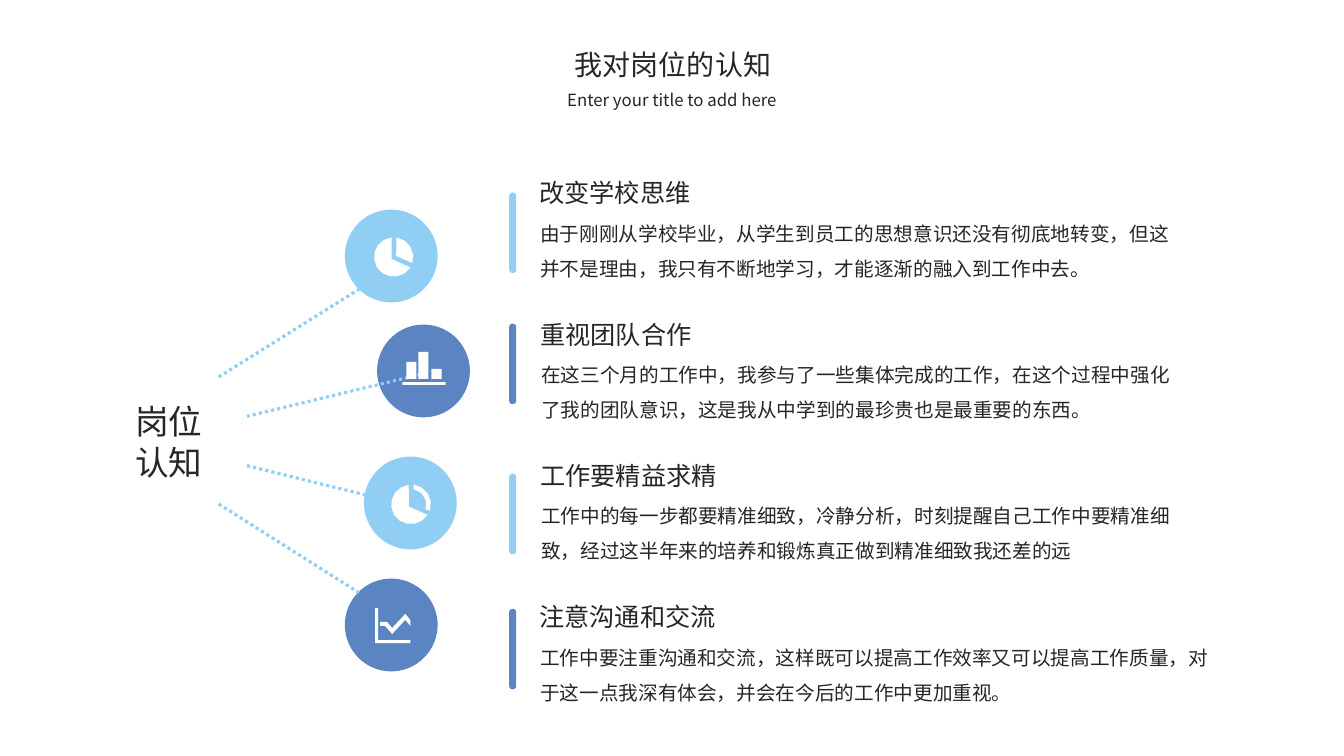
from dataclasses import dataclass
from math import cos, radians, sin

from lxml.etree import SubElement
from pptx import Presentation
from pptx.dml.color import RGBColor
from pptx.enum.dml import MSO_LINE
from pptx.enum.shapes import MSO_CONNECTOR, MSO_SHAPE
from pptx.enum.text import MSO_AUTO_SIZE, PP_ALIGN
from pptx.oxml.ns import qn
from pptx.util import Emu, Pt

FONT = "Noto Sans CJK SC"
INK, WHITE, SKY, BLUE = "262626", "FFFFFF", "91CEF4", "5B84C2"
PX = 9144  # 100 px to the inch

Point = tuple[float, float]
Box = tuple[int, int, int, int]


@dataclass
class Topic:
    title: str
    body: str
    color: str
    bar_top: int
    circle: tuple[int, int]
    text_at: tuple[int, int]
    body_width: int = 660
    body_drop: int = 32


@dataclass
class Ray:
    start: tuple[int, int]
    end: tuple[int, int]


TOPICS = [
    Topic("改变学校思维",
          "由于刚刚从学校毕业，从学生到员工的思想意识还没有彻底地转变，但这"
          "并不是理由，我只有不断地学习，才能逐渐的融入到工作中去。",
          SKY, 191, (342, 208), (525, 171), body_drop=33),
    Topic("重视团队合作",
          "在这三个月的工作中，我参与了一些集体完成的工作，在这个过程中强化"
          "了我的团队意识，这是我从中学到的最珍贵也是最重要的东西。",
          BLUE, 321, (374, 322), (526, 312)),
    Topic("工作要精益求精",
          "工作中的每一步都要精准细致，冷静分析，时刻提醒自己工作中要精准细"
          "致，经过这半年来的培养和锻炼真正做到精准细致我还差的远",
          SKY, 470, (361, 453), (526, 452)),
    Topic("注意沟通和交流",
          "工作中要注重沟通和交流，这样既可以提高工作效率又可以提高工作质量，对"
          "于这一点我深有体会，并会在今后的工作中更加重视。",
          BLUE, 604, (342, 574), (525, 592), body_width=683),
]
RAYS = [
    Ray((217, 374), (356, 287)),
    Ray((245, 462), (423, 506)),
    Ray((217, 500), (356, 588)),
    Ray((423, 370), (245, 413)),
]
CHART_BARS: list[Box] = [
    (399, 379, 43, 3), (415, 349, 10, 27), (403, 359, 10, 17), (428, 366, 10, 10),
]
AXES: list[Point] = [(375, 635), (375, 603), (372, 603), (372, 638), (407, 638), (407, 635)]
TREND: list[Point] = [
    (389, 629), (402, 615), (407, 621), (407, 615), (402, 609),
    (389, 623), (384, 617), (377, 617), (377, 621), (382, 621),
]

presentation = Presentation()
presentation.slide_width, presentation.slide_height = Emu(1333 * PX), Emu(750 * PX)
slide = presentation.slides.add_slide(presentation.slide_layouts[6])
shapes = slide.shapes


def rgb(color: str) -> RGBColor:
    return RGBColor.from_string(color)


def paint(shape, color: str) -> None:
    shape.shadow.inherit = False
    shape.fill.solid()
    shape.fill.fore_color.rgb = rgb(color)
    shape.line.fill.background()


def add_preset(kind: MSO_SHAPE, box: Box, color: str):
    shape = shapes.add_shape(kind, *(Emu(length * PX) for length in box))
    paint(shape, color)
    return shape


def add_outline(points: list[Point], color: str) -> None:
    vertices = [(x * PX, y * PX) for x, y in points]
    builder = shapes.build_freeform(*vertices[0])
    builder.add_line_segments(vertices[1:], close=True)
    paint(builder.convert_to_shape(), color)


def add_text(box: Box, lines: list[str], size: int, align: PP_ALIGN = PP_ALIGN.LEFT,
             spacing: int | None = None) -> None:
    frame = shapes.add_textbox(*(Emu(length * PX) for length in box)).text_frame
    frame.word_wrap = True
    frame.auto_size = MSO_AUTO_SIZE.SHAPE_TO_FIT_TEXT
    for index, line in enumerate(lines):
        paragraph = frame.add_paragraph() if index else frame.paragraphs[0]
        paragraph.alignment = align
        if spacing:
            paragraph.line_spacing = Pt(spacing)
        run = paragraph.add_run()
        run.text = line
        run.font.size = Pt(size)
        run.font.color.rgb = rgb(INK)
        run.font.name = FONT
        SubElement(run.font._element, qn("a:ea"), typeface=FONT)


def add_ray(ray: Ray) -> None:
    connector = shapes.add_connector(
        MSO_CONNECTOR.STRAIGHT, *(Emu(length * PX) for length in ray.start + ray.end))
    connector.line.color.rgb = rgb(SKY)
    connector.line.width = Pt(2.25)
    connector.line.dash_style = MSO_LINE.ROUND_DOT
    SubElement(connector._element.spPr, qn("a:effectLst"))


def arc(center: Point, radius: float, first: int, last: int, steps: int) -> list[Point]:
    angles = [radians(first + (last - first) * step / steps) for step in range(steps + 1)]
    return [(center[0] + radius * cos(a), center[1] + radius * sin(a)) for a in angles]


def add_pie(center: Point) -> None:
    apex = (center[0] - 2, center[1] + 2)
    add_outline([apex] + arc(center, 19.5, 264, 32, 10), WHITE)


# Bars and circles
for topic in TOPICS:
    bar = add_preset(MSO_SHAPE.ROUNDED_RECTANGLE, (505, topic.bar_top, 7, 80), topic.color)
    bar.adjustments[0] = 0.5
for topic in TOPICS:
    add_preset(MSO_SHAPE.OVAL, (*topic.circle, 92, 92), topic.color)

# Dotted rays and hub
for ray in RAYS:
    add_ray(ray)
add_preset(MSO_SHAPE.OVAL, (100, 369, 133, 133), WHITE)
add_text((109, 393, 117, 91), ["岗位", "认知"], 24, PP_ALIGN.CENTER)

# Line chart icon
add_outline(AXES, WHITE)
add_outline(TREND, WHITE)

# Bar chart icon
for chart_bar in CHART_BARS:
    add_preset(MSO_SHAPE.RECTANGLE, chart_bar, WHITE)

# Pie icons: one with a ring segment, one with a slice
ring_center, slice_center = (407.5, 500.5), (390.5, 255)
add_pie(ring_center)
add_outline(arc(ring_center, 20, -82, 18, 4) + arc(ring_center, 15.5, 18, -80, 3), WHITE)
add_pie(slice_center)
add_outline([(393, 254)] + arc(slice_center, 19.5, -82, 18, 4), WHITE)

# Slide title
add_text((547, 42, 241, 44), ["我对岗位的认知"], 20, PP_ALIGN.CENTER)
add_text((532, 84, 269, 30), ["Enter your title to add here"], 12, PP_ALIGN.CENTER)

# Topic texts
for topic in TOPICS:
    left, top = topic.text_at
    add_text((left + 1, top + topic.body_drop, topic.body_width, 76), [topic.body], 14,
             spacing=25)
    add_text((left, top, 264, 40), [topic.title], 18)

presentation.save("out.pptx")
